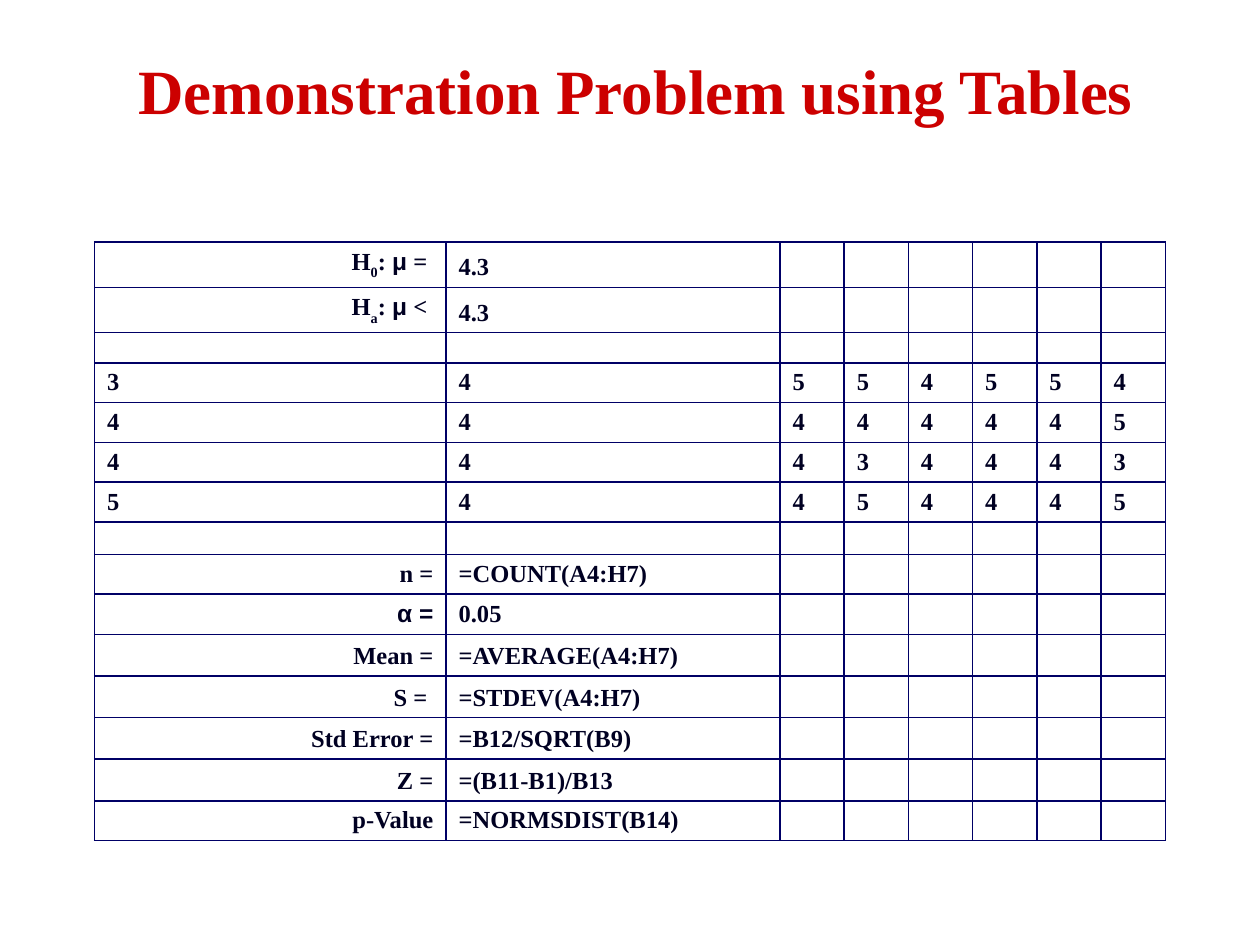
import pptx
import pptx.util
import pptx.dml.color
import pptx.enum.text
import pptx.oxml.ns
import lxml.etree

Inches, Pt = pptx.util.Inches, pptx.util.Pt
PP_ALIGN = pptx.enum.text.PP_ALIGN
MSO_ANCHOR = pptx.enum.text.MSO_ANCHOR

TITLE = "Demonstration Problem using Tables"
SERIF, GREEK = "Times New Roman", "Arial"
RED, NAVY, INK, WHITE = "CC0000", "000066", "000022", "FFFFFF"

# Each row: height, cell texts. A label given as a tuple holds (text, style) runs.
HYPOTHESES = [
    (0.36, [(("H", ""), ("0", "sub"), (": ", ""), ("μ", "greek"), (" = ", "")), "4.3"]),
    (0.36, [(("H", ""), ("a", "sub"), (": ", ""), ("μ", "greek"), (" < ", "")), "4.3"]),
]
DATA = [(0.31, list(digits)) for digits in ("34554554", "44444445", "44434443", "54454445")]
FORMULAS = [
    (0.31, ["n =", "=COUNT(A4:H7)"]),
    (0.32, [(("α =", "greek"),), "0.05"]),
    (0.33, ["Mean =", "=AVERAGE(A4:H7)"]),
    (0.33, ["S = ", "=STDEV(A4:H7)"]),
    (0.33, ["Std Error =", "=B12/SQRT(B9)"]),
    (0.33, ["Z =", "=(B11-B1)/B13"]),
    (0.31, ["p-Value", "=NORMSDIST(B14)"]),
]
ROWS = HYPOTHESES + [(0.24, [])] + DATA + [(0.26, [])] + FORMULAS
COLS = [2.79, 2.65] + [0.51] * 6


def rgb(value):
    return pptx.dml.color.RGBColor.from_string(value)


def style_font(font, size, color):
    font.name, font.size, font.bold = SERIF, Pt(size), True
    font.color.rgb = rgb(color)


def add_borders(cell):
    qn = pptx.oxml.ns.qn
    tcPr = cell._tc.get_or_add_tcPr()
    for i, side in enumerate(("lnL", "lnR", "lnT", "lnB")):
        ln = lxml.etree.Element(qn("a:" + side), w=str(Pt(1)))
        fill = lxml.etree.SubElement(ln, qn("a:solidFill"))
        lxml.etree.SubElement(fill, qn("a:srgbClr"), val=NAVY)
        tcPr.insert(i, ln)


def fill_cell(cell, content, align):
    cell.fill.solid()
    cell.fill.fore_color.rgb = rgb(WHITE)
    cell.vertical_anchor = MSO_ANCHOR.BOTTOM
    add_borders(cell)
    p = cell.text_frame.paragraphs[0]
    if not content:
        p.font.size = Pt(8)  # keeps the spacer rows low
        return
    p.alignment = align
    style_font(p.font, 14, INK)
    pPr = p._p.get_or_add_pPr()
    pPr.set("marL", str(Inches(0.38)))
    pPr.set("indent", str(-Inches(0.38)))
    runs = ((content, ""),) if isinstance(content, str) else content
    for text, style in runs:
        r = p.add_run()
        r.text = text
        if style == "greek":
            r.font.name = GREEK
        elif style == "sub":
            r.font._element.set("baseline", "-30000")


def add_title(slide):
    title = slide.shapes.title
    title.left, title.top = Inches(0.42), Inches(0.33)
    title.width, title.height = Inches(9.25), Inches(1.25)
    tf = title.text_frame
    tf.text = TITLE
    tf.vertical_anchor = MSO_ANCHOR.TOP
    tf.margin_top = Inches(0.08)
    p = tf.paragraphs[0]
    p.alignment = PP_ALIGN.CENTER
    style_font(p.font, 36, RED)


def add_worksheet(slide):
    height = sum(h for h, _ in ROWS)
    table = slide.shapes.add_table(
        len(ROWS), len(COLS), Inches(0.75), Inches(1.92),
        Inches(sum(COLS)), Inches(height)).table
    table.first_row = table.horz_banding = False
    for column, width in zip(table.columns, COLS):
        column.width = Inches(width)
    for i, (row_height, texts) in enumerate(ROWS):
        table.rows[i].height = Inches(row_height)
        is_data = len(texts) == len(COLS)
        for j in range(len(COLS)):
            is_label = j == 0 and not is_data
            fill_cell(table.cell(i, j), texts[j] if j < len(texts) else "",
                      PP_ALIGN.RIGHT if is_label else PP_ALIGN.LEFT)


def main():
    prs = pptx.Presentation()
    prs.slide_width, prs.slide_height = Inches(10), Inches(7.5)
    slide = prs.slides.add_slide(prs.slide_layouts[5])
    add_title(slide)
    add_worksheet(slide)
    prs.save("out.pptx")


if __name__ == "__main__":
    main()
